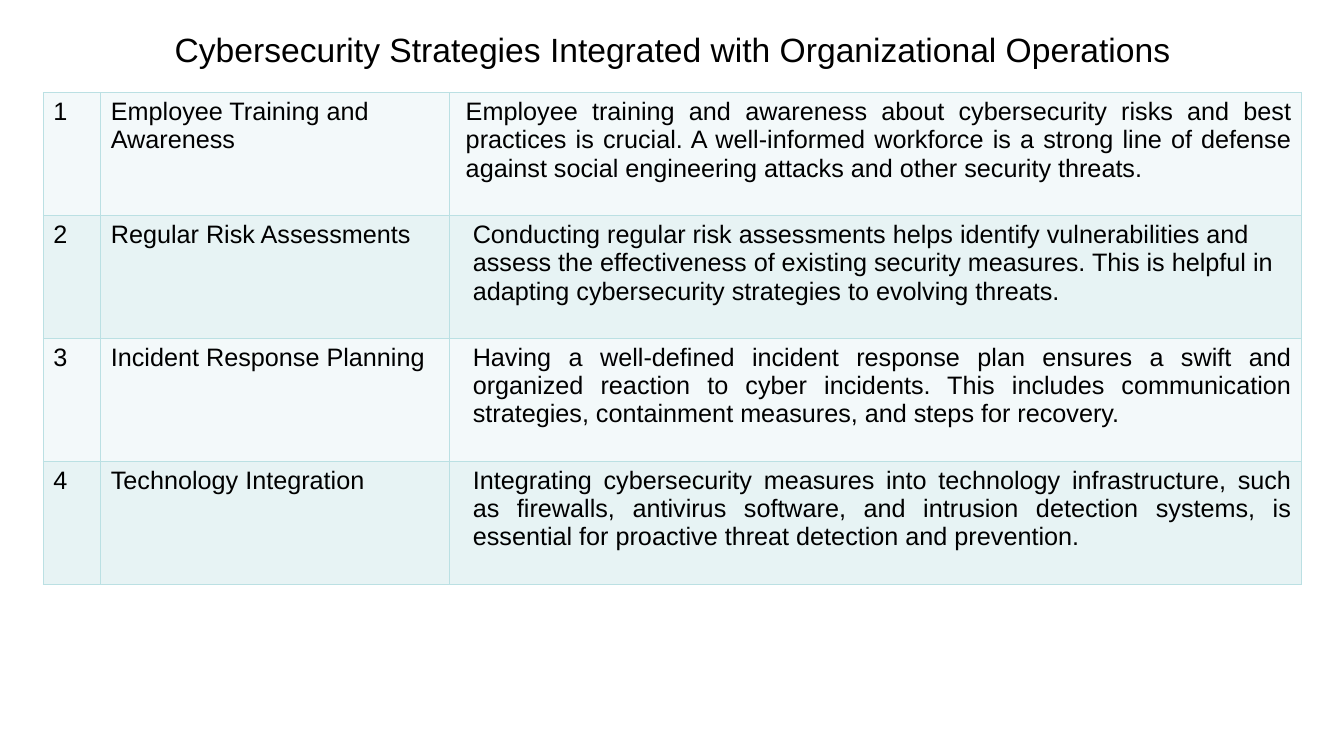
"""Build a slide with a table of four cybersecurity strategies."""
from pptx import Presentation
from pptx.dml.color import RGBColor
from pptx.enum.text import MSO_ANCHOR as Anchor, MSO_AUTO_SIZE as AutoSize, PP_ALIGN as Align
from pptx.oxml import parse_xml
from pptx.oxml.ns import nsdecls
from pptx.util import Inches, Pt

HEADING = "Cybersecurity Strategies Integrated with Organizational Operations"
STRATEGIES = [
    ("Employee Training and Awareness",
     "Employee training and awareness about cybersecurity risks and best practices is crucial. "
     "A well-informed workforce is a strong line of defense against social engineering attacks "
     "and other security threats.", Align.JUSTIFY, 0.06),
    ("Regular Risk Assessments",
     "Conducting regular risk assessments helps identify vulnerabilities and assess the "
     "effectiveness of existing security measures. This is helpful in adapting cybersecurity "
     "strategies to evolving threats.", Align.LEFT, 0.13),
    ("Incident Response Planning",
     "Having a well-defined incident response plan ensures a swift and organized reaction to "
     "cyber incidents. This includes communication strategies, containment measures, and steps "
     "for recovery.", Align.JUSTIFY, 0.13),
    ("Technology Integration",
     "Integrating cybersecurity measures into technology infrastructure, such as firewalls, "
     "antivirus software, and intrusion detection systems, is essential for proactive threat "
     "detection and prevention.", Align.JUSTIFY, 0.13),
]
COLORS = {"text": "000000", "border": "BBE0E3", "odd": "F3F9FA", "even": "E7F3F4"}
COLUMN_WIDTHS = [0.57, 3.46, 8.45]
ROW_HEIGHT = 1.22
TABLE_LEFT, TABLE_TOP = 0.43, 0.92


def style(paragraph, size, align):
    paragraph.alignment = align
    paragraph.font.name = "Arial"
    paragraph.font.size = Pt(size)
    paragraph.font.color.rgb = RGBColor.from_string(COLORS["text"])


def fill_cell(cell, text, band, align=Align.LEFT, indent=0):
    cell.text = text
    paragraph = cell.text_frame.paragraphs[0]
    style(paragraph, 18, align)
    if indent:
        paragraph.level = 1
        properties = paragraph._p.get_or_add_pPr()
        properties.set("marL", str(Inches(indent)))
        properties.set("indent", "0")
    cell.fill.solid()
    cell.fill.fore_color.rgb = RGBColor.from_string(COLORS[band])
    for position, side in enumerate("LRTB"):
        cell._tc.tcPr.insert(position, parse_xml(
            f'<a:ln{side} {nsdecls("a")} w="{Pt(1)}"><a:solidFill>'
            f'<a:srgbClr val="{COLORS["border"]}"/></a:solidFill></a:ln{side}>'))


def main():
    deck = Presentation()
    deck.slide_width, deck.slide_height = Inches(13.33), Inches(7.5)
    slide = deck.slides.add_slide(deck.slide_layouts[5])

    heading = slide.shapes.title
    heading.left, heading.top = Inches(0.67), Inches(0.29)
    heading.width, heading.height = Inches(12), Inches(0.87)
    heading.text = HEADING
    frame = heading.text_frame
    frame.auto_size = AutoSize.NONE
    frame.vertical_anchor = Anchor.TOP
    frame.margin_top = 0
    style(frame.paragraphs[0], 24, Align.CENTER)

    table = slide.shapes.add_table(
        len(STRATEGIES), len(COLUMN_WIDTHS), Inches(TABLE_LEFT), Inches(TABLE_TOP),
        Inches(sum(COLUMN_WIDTHS)), Inches(ROW_HEIGHT * len(STRATEGIES))).table
    table.first_row = False
    for column, width in zip(table.columns, COLUMN_WIDTHS):
        column.width = Inches(width)
    for number, (strategy, description, align, indent) in enumerate(STRATEGIES, 1):
        row = table.rows[number - 1]
        row.height = Inches(ROW_HEIGHT)
        band = "odd" if number % 2 else "even"
        number_cell, strategy_cell, description_cell = row.cells
        fill_cell(number_cell, str(number), band)
        fill_cell(strategy_cell, strategy, band)
        fill_cell(description_cell, description, band, align, indent)

    deck.save("out.pptx")


if __name__ == "__main__":
    main()
